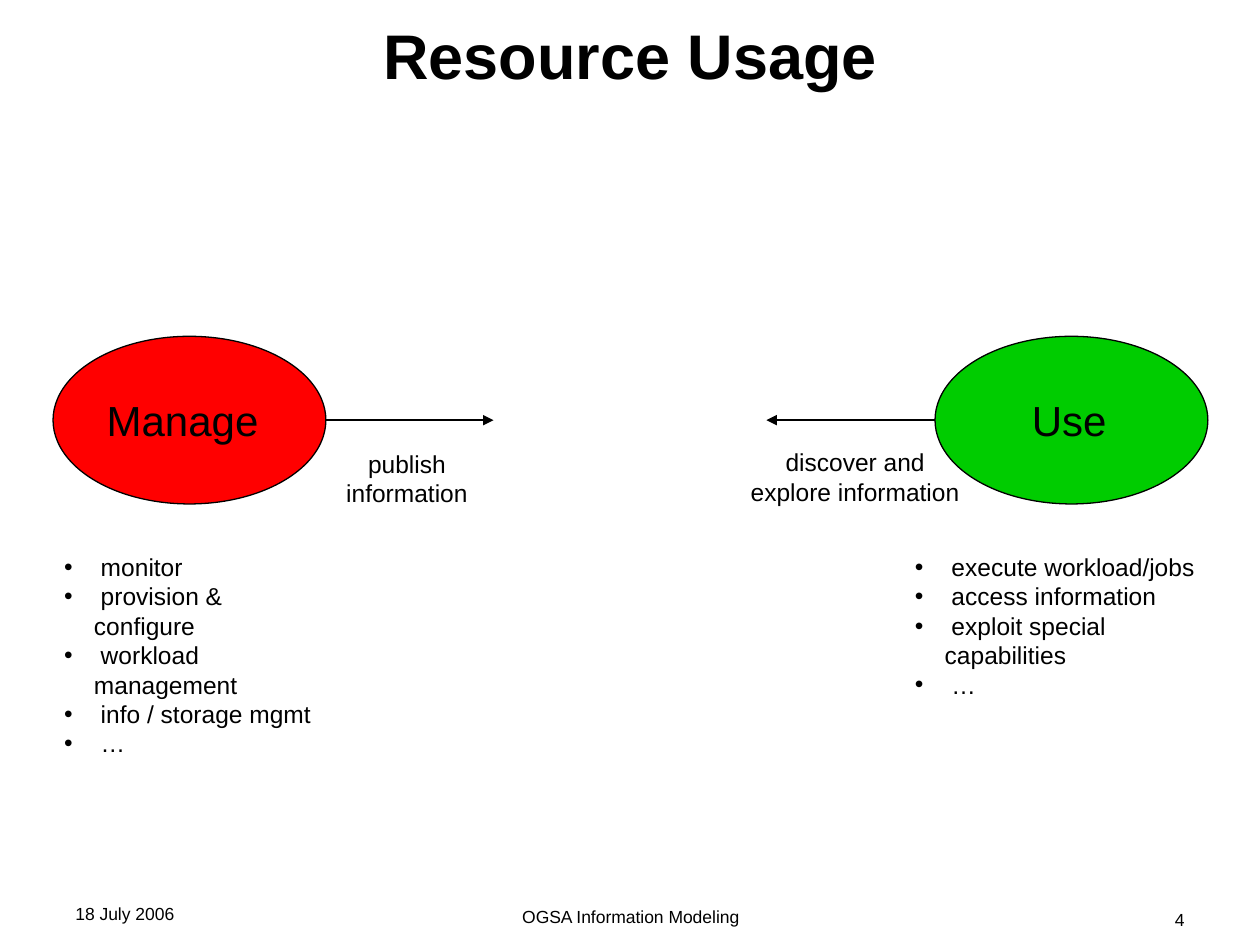
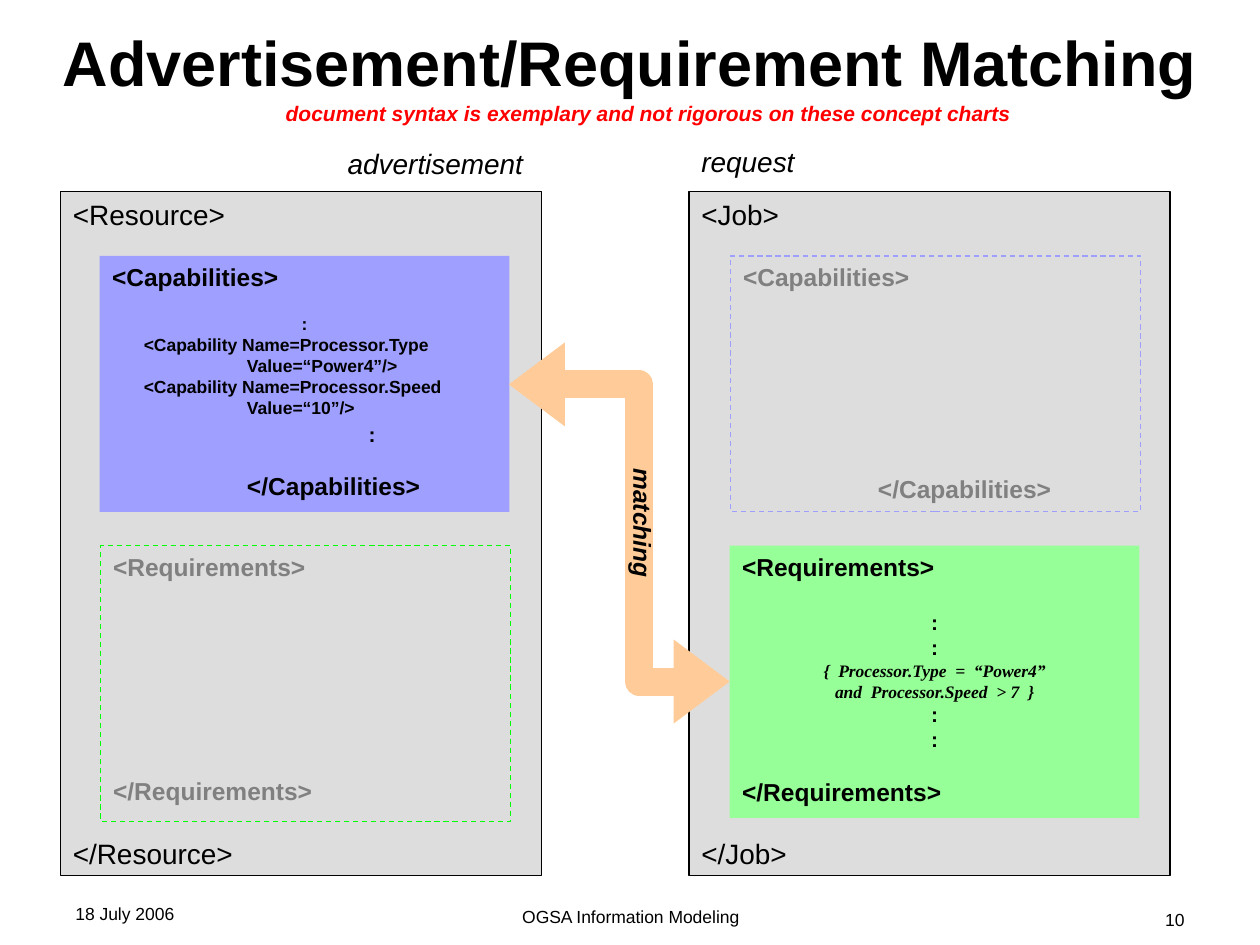
"""Build two slides on OGSA resource usage and requirement matching."""
from dataclasses import dataclass, replace
from typing import Optional, Sequence

from lxml import etree
from pptx import Presentation
from pptx import util as u
from pptx.dml.color import RGBColor
from pptx.enum import dml, shapes, text
from pptx.oxml import ns


@dataclass(frozen=True)
class Theme:
    """Colours, fonts and type sizes in points."""
    black: str = "000000"
    grey: str = "808080"
    panel: str = "DDDDDD"
    red: str = "FF0000"
    manage: str = "FF0000"
    use: str = "00CC00"
    capability: str = "9F9FFF"
    requirement: str = "97FF97"
    requirement_edge: str = "00FF00"
    matching: str = "FFCC99"
    sans: str = "Arial"
    serif: str = "Times New Roman"
    title: int = 36
    role: int = 24
    tag: int = 16
    body: int = 14
    small: int = 12
    tiny: int = 10


THEME = Theme()
LEFT, CENTER, RIGHT = text.PP_ALIGN.LEFT, text.PP_ALIGN.CENTER, text.PP_ALIGN.RIGHT


@dataclass(frozen=True)
class Box:
    """A rectangle in centimetres."""
    left: float
    top: float
    width: float
    height: float

    def lengths(self) -> list:
        return [u.Cm(value) for value in (self.left, self.top, self.width, self.height)]


@dataclass(frozen=True)
class Line:
    """One formatted paragraph; margin and indent in centimetres, before in points."""
    words: str
    size: int = THEME.body
    bold: bool = False
    italic: bool = False
    color: str = THEME.black
    font: str = THEME.sans
    align: text.PP_ALIGN = LEFT
    before: float = 0
    margin: float = 0
    indent: float = 0
    spacing: float = 1.0


@dataclass(frozen=True)
class Label:
    """A text box that does not wrap."""
    box: Box
    line: Line
    rotation: int = 0


@dataclass(frozen=True)
class Block:
    """A preset shape with optional text."""
    box: Box
    lines: Sequence[Line] = ()
    fill: Optional[str] = None
    edge: Optional[str] = None
    dashed: bool = False
    preset: shapes.MSO_SHAPE = shapes.MSO_SHAPE.RECTANGLE


def write(text_frame, lines: Sequence[Line], wrap: bool = True,
          anchor: text.MSO_ANCHOR = text.MSO_ANCHOR.TOP) -> None:
    text_frame.text = "\n".join(line.words for line in lines)
    text_frame.word_wrap = wrap
    text_frame.auto_size = text.MSO_AUTO_SIZE.NONE
    text_frame.vertical_anchor = anchor
    for paragraph, line in zip(text_frame.paragraphs, lines):
        paragraph.alignment = line.align
        paragraph.space_before = u.Pt(line.before)
        paragraph.line_spacing = line.spacing
        properties = paragraph._p.get_or_add_pPr()
        properties.set("marL", str(u.Cm(line.margin)))
        properties.set("indent", str(u.Cm(line.indent)))
        for run in paragraph.runs:
            run.font.name = line.font
            run.font.size = u.Pt(line.size)
            run.font.bold = line.bold
            run.font.italic = line.italic
            run.font.color.rgb = RGBColor.from_string(line.color)


def place(shape, box: Box) -> None:
    shape.left, shape.top, shape.width, shape.height = box.lengths()


def add_text(slide, box: Box, line: Line, wrap: bool = True, rotation: int = 0) -> None:
    shape = slide.shapes.add_textbox(*box.lengths())
    shape.rotation = rotation
    write(shape.text_frame, [line], wrap)


def add_labels(slide, labels: Sequence[Label]) -> None:
    for label in labels:
        add_text(slide, label.box, label.line, False, label.rotation)


def add_block(slide, block: Block) -> None:
    shape = slide.shapes.add_shape(block.preset, *block.box.lengths())
    shape.shadow.inherit = False
    if block.fill:
        shape.fill.solid()
        shape.fill.fore_color.rgb = RGBColor.from_string(block.fill)
    else:
        shape.fill.background()
    if block.edge:
        shape.line.color.rgb = RGBColor.from_string(block.edge)
        shape.line.width = u.Pt(0.75)
        if block.dashed:
            shape.line.dash_style = dml.MSO_LINE.DASH
    else:
        shape.line.fill.background()
    if block.lines:
        write(shape.text_frame, block.lines)


def add_arrow(slide, kind: shapes.MSO_CONNECTOR, points: Sequence[float], color: str,
              width: float, ends: Sequence[str], length: str = "med"):
    connector = slide.shapes.add_connector(kind, *[u.Cm(value) for value in points])
    connector.line.color.rgb = RGBColor.from_string(color)
    connector.line.width = u.Pt(width)
    outline = connector.line._get_or_add_ln()
    for end in ends:
        etree.SubElement(outline, ns.qn(f"a:{end}"), type="triangle", w="med", len=length)
    etree.SubElement(connector._element.spPr, ns.qn("a:effectLst"))
    return connector


def start_slide(presentation, layout: int, title: Line, box: Box, number: str):
    slide = presentation.slides.add_slide(presentation.slide_layouts[layout])
    place(slide.shapes.title, box)
    write(slide.shapes.title.text_frame, [title], anchor=text.MSO_ANCHOR.MIDDLE)
    footers = (
        (Box(8.69, 18.14, 8.05, 0.53), "OGSA Information Modeling", CENTER),
        (Box(18.21, 18.19, 5.92, 0.48), number, RIGHT),
        (Box(1.27, 18.08, 5.92, 0.58), "18 July 2006", LEFT),
    )
    for footer_box, words, align in footers:
        add_text(slide, footer_box, Line(words, THEME.tiny, align=align))
    return slide


def build_usage(presentation, title: Line) -> None:
    slide = start_slide(presentation, 3, replace(title, words="Resource Usage", spacing=0.8),
                        Box(1.27, 0.76, 22.86, 0.94), "4")
    for left, fill in ((1.07, THEME.manage), (18.85, THEME.use)):
        add_block(slide, Block(Box(left, 6.78, 5.5, 3.38), fill=fill, edge=THEME.black,
                               preset=shapes.MSO_SHAPE.OVAL))
    for start, end in ((6.56, 9.95), (18.85, 15.45)):
        add_arrow(slide, shapes.MSO_CONNECTOR.STRAIGHT, (start, 8.47, end, 8.47),
                  THEME.black, 1, ["tailEnd"])
    add_labels(slide, (
        Label(Box(6.73, 8.92, 2.95, 1.45), Line("publish\vinformation", align=CENTER)),
        Label(Box(14.88, 8.89, 4.72, 1.45),
              Line("discover and\vexplore information", align=CENTER)),
        Label(Box(1.9, 7.82, 3.56, 1.27), Line("Manage", THEME.role)),
        Label(Box(20.55, 7.82, 2, 1.27), Line("Use", THEME.role)),
    ))
    tasks = (
        (Box(1.04, 11, 5.75, 4.4), (" monitor", " provision & configure",
                                    " workload management", " info / storage mgmt", " …")),
        (Box(18.19, 11, 6.5, 3.2), (" execute workload/jobs", " access information",
                                    " exploit special capabilities", " …")),
    )
    bodies = list(slide.placeholders)[1:]
    for body, (box, items) in zip(bodies, tasks):
        place(body, box)
        write(body.text_frame, [Line(item, margin=0.6, indent=-0.6) for item in items])


def build_matching(presentation, title: Line) -> None:
    slide = start_slide(presentation, 5,
                        replace(title, words="Advertisement/Requirement Matching"),
                        Box(0, 0.76, 25.4, 0.94), "10")
    for left, tag in ((1.22, "Resource"), (13.89, "Job")):
        tags = [Line(f"<{tag}>", THEME.tag), Line(f"</{tag}>", THEME.tag, before=346)]
        add_block(slide, Block(Box(left, 3.86, 9.7, 13.79), tags, THEME.panel, THEME.black))

    strong = Line("", bold=True)
    faded = replace(strong, color=THEME.grey)
    dots = replace(strong, words=":", size=THEME.small, align=CENTER)
    code = replace(strong, size=THEME.tiny, margin=2.72, indent=-2.08)
    rule = Line("", THEME.tiny, True, True, font=THEME.serif, align=CENTER)

    def wrap_tag(tag: str, style: Line, inner: Sequence[Line], before: float,
                 margin: float = 0) -> list:
        closing = replace(style, words=f"</{tag}>", before=before, margin=margin)
        return [replace(style, words=f"<{tag}>"), *inner, closing]

    offered = [
        replace(dots, size=THEME.tiny, before=12),
        replace(code, words="<Capability Name=Processor.Type\vValue=“Power4”/>"),
        replace(code, words="<Capability Name=Processor.Speed\vValue=“10”/>"),
        replace(dots, margin=2.72, before=2),
    ]
    required = [
        replace(dots, before=16),
        dots,
        replace(rule, words="{  Processor.Type  =  “Power4”\vand  Processor.Speed  > 7  }"),
        dots,
        dots,
    ]
    blocks = (
        Block(Box(2.01, 5.16, 8.26, 5.16),
              wrap_tag("Capabilities", strong, offered, 14, 2.72), THEME.capability),
        Block(Box(2.03, 11, 8.26, 5.56), wrap_tag("Requirements", faded, [], 111),
              edge=THEME.requirement_edge, dashed=True),
        Block(Box(14.73, 5.16, 8.26, 5.16), wrap_tag("Capabilities", faded, [], 104.5, 2.72),
              edge=THEME.capability, dashed=True),
        Block(Box(14.71, 11, 8.26, 5.49), wrap_tag("Requirements", strong, required, 14),
              THEME.requirement),
    )
    for block in blocks:
        add_block(slide, block)

    link = add_arrow(slide, shapes.MSO_CONNECTOR.ELBOW, (10.26, 7.75, 14.71, 13.74),
                     THEME.matching, 16, ["headEnd", "tailEnd"], "sm")
    guides = link._element.spPr.find(ns.qn("a:prstGeom")).get_or_add_avLst()
    etree.SubElement(guides, ns.qn("a:gd"), name="adj1", fmla="val 59000")

    heading = Line("", THEME.tag, italic=True)
    add_labels(slide, (
        Label(Box(6.76, 2.82, 4.04, 0.94), replace(heading, words="advertisement")),
        Label(Box(13.89, 2.79, 2.39, 0.94), replace(heading, words="request")),
        Label(Box(11.61, 10.11, 2.69, 0.86), replace(strong, words="matching", italic=True), 90),
        Label(Box(5.51, 1.9, 15.14, 0.76),
              Line("document syntax is exemplary and not rigorous on these concept charts",
                   THEME.small, True, True, THEME.red)),
    ))


def main() -> None:
    presentation = Presentation()
    presentation.slide_width, presentation.slide_height = u.Cm(25.4), u.Cm(19.05)
    title = Line("", THEME.title, bold=True, align=CENTER)
    build_usage(presentation, title)
    build_matching(presentation, title)
    presentation.save("out.pptx")


if __name__ == "__main__":
    main()
